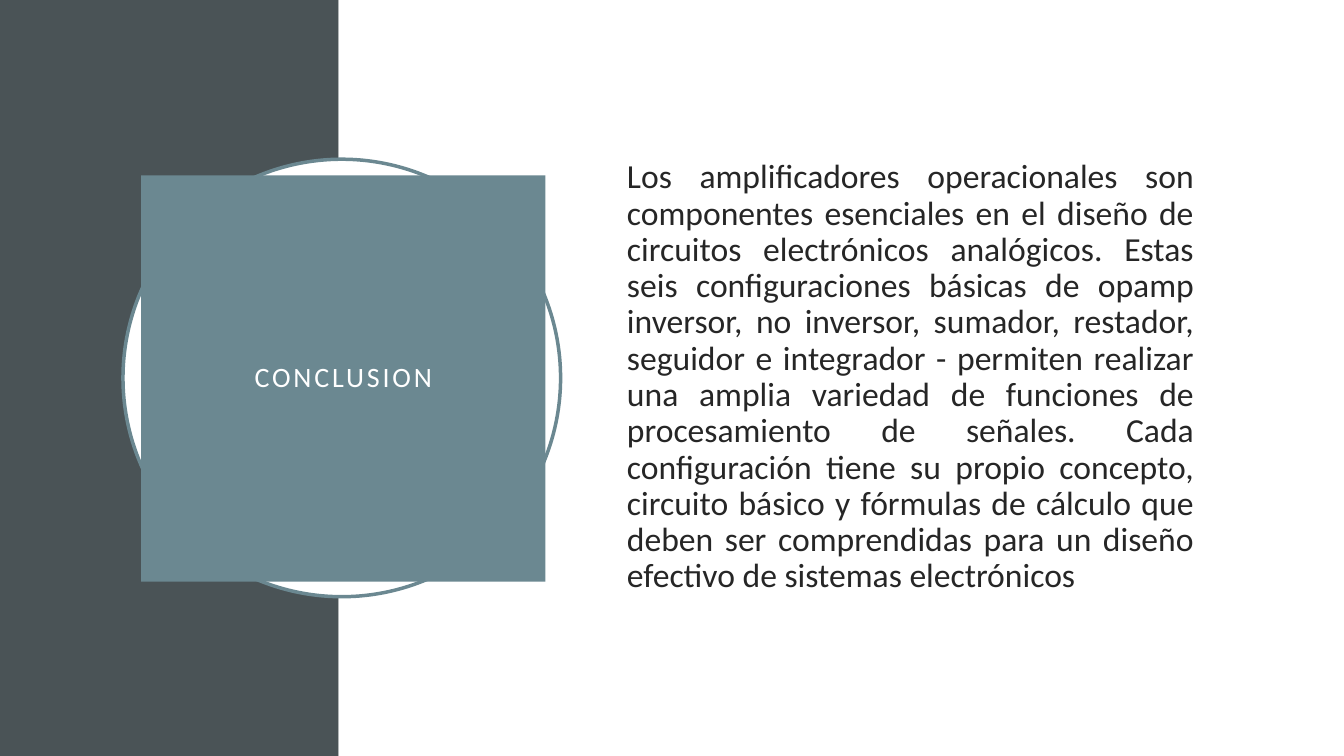
from pptx import Presentation
from pptx.dml.color import RGBColor
from pptx.enum.shapes import MSO_SHAPE
from pptx.enum.text import MSO_ANCHOR, PP_ALIGN
from pptx.util import Inches, Pt

RECT, OVAL = MSO_SHAPE.RECTANGLE, MSO_SHAPE.OVAL
MIDDLE = MSO_ANCHOR.MIDDLE
CENTER, JUSTIFY = PP_ALIGN.CENTER, PP_ALIGN.JUSTIFY

COLORS = {"slate": "4A5356", "teal": "6B8891", "white": "FFFFFF", "ink": "262626"}
WIDTH, HEIGHT, BAND = 13.33, 7.5, 3.36

CONCLUSION = (
    "Los amplificadores operacionales son componentes esenciales en el diseño de "
    "circuitos electrónicos analógicos. Estas seis configuraciones básicas de opamp "
    "inversor, no inversor, sumador, restador, seguidor e integrador - permiten "
    "realizar una amplia variedad de funciones de procesamiento de señales. Cada "
    "configuración tiene su propio concepto, circuito básico y fórmulas de cálculo "
    "que deben ser comprendidas para un diseño efectivo de sistemas electrónicos"
)


class SlideBuilder:
    font = "Calibri"
    line_spacing = 0.9

    def __init__(self, slide):
        self.s = slide

    def color(self, name):
        return RGBColor.from_string(COLORS[name])

    def shape(self, kind, box, fill, line=None, line_width=2.5):
        sp = self.s.shapes.add_shape(kind, *map(Inches, box))
        sp.shadow.inherit = False
        sp.fill.solid()
        sp.fill.fore_color.rgb = self.color(fill)
        if line:
            sp.line.color.rgb = self.color(line)
            sp.line.width = Pt(line_width)
        else:
            sp.line.fill.background()
        return sp

    def textbox(self, box):
        return self.s.shapes.add_textbox(*map(Inches, box))

    def text(self, sp, text, size, color, align, inset=None, before=0, spacing=0):
        tf = sp.text_frame
        tf.word_wrap = True
        tf.vertical_anchor = MIDDLE
        if inset is not None:
            tf.margin_left = tf.margin_right = Inches(inset)
            tf.margin_top = tf.margin_bottom = Inches(inset)
        p = tf.paragraphs[0]
        p.alignment = align
        p.line_spacing = self.line_spacing
        p.space_before = Pt(before)
        r = p.add_run()
        r.text = text
        r.font.name = self.font
        r.font.size = Pt(size)
        r.font.color.rgb = self.color(color)
        if spacing:
            r.font._element.set("spc", str(spacing * 100))


def main():
    prs = Presentation()
    prs.slide_width, prs.slide_height = Inches(WIDTH), Inches(HEIGHT)
    b = SlideBuilder(prs.slides.add_slide(prs.slide_layouts[6]))

    # Background: dark band and white panel
    b.shape(RECT, (0, 0, BAND, HEIGHT), "slate")
    b.shape(RECT, (BAND, 0, WIDTH - BAND, HEIGHT), "white")

    # Title block over its ring
    b.shape(OVAL, (1.22, 1.58, 4.34, 4.34), "white", line="teal")
    title = b.shape(RECT, (1.4, 1.74, 4.01, 4.03), "teal")
    b.text(title, "CONCLUSION", 20, "white", CENTER, inset=0.2, spacing=2)

    # Body text
    body = b.textbox((6.12, 1.53, 5.82, 4.43))
    b.text(body, CONCLUSION, 24, "ink", JUSTIFY, before=10)

    prs.save("out.pptx")


if __name__ == "__main__":
    main()
